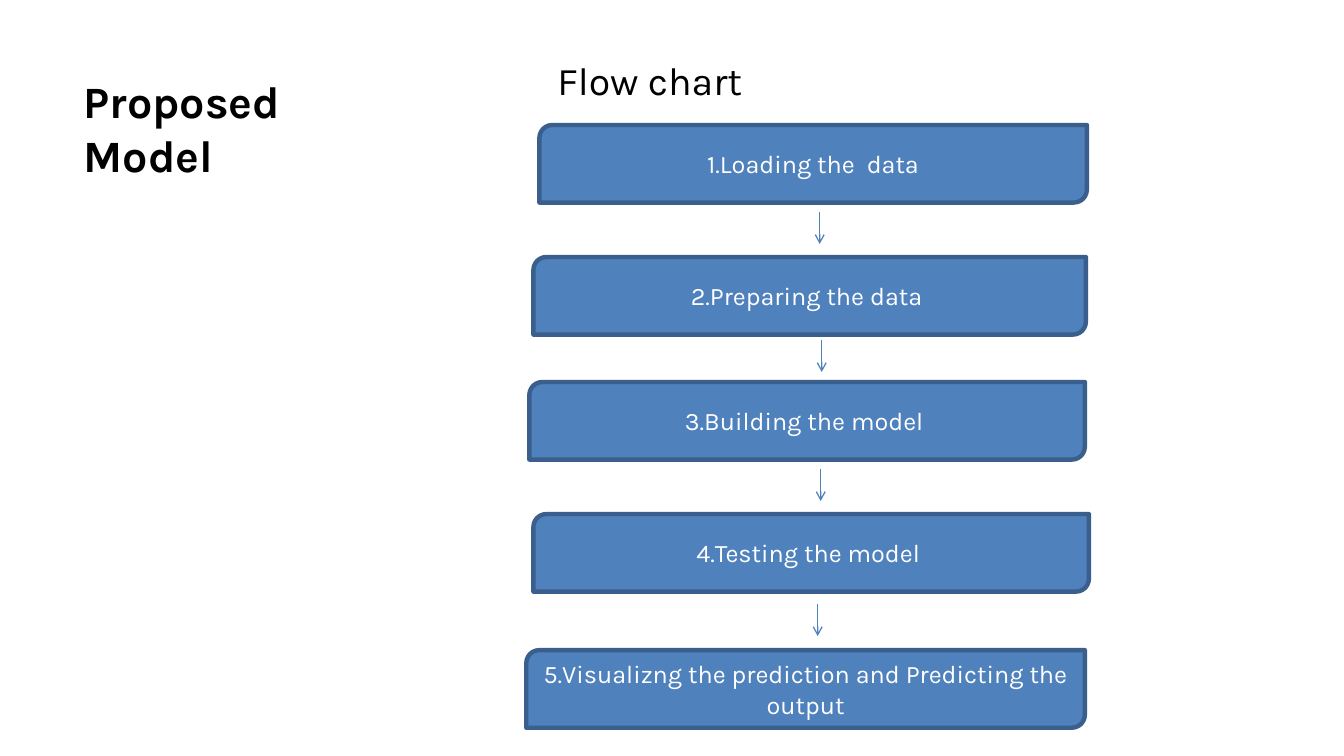
"""Build the slide that shows the proposed model as a flow chart."""
from lxml import etree
from pptx import Presentation
from pptx.dml.color import RGBColor
from pptx.enum.shapes import MSO_CONNECTOR, MSO_SHAPE
from pptx.enum.text import MSO_ANCHOR, MSO_AUTO_SIZE, PP_ALIGN
from pptx.oxml.ns import qn
from pptx.util import Inches, Pt

STEP_SHAPE = MSO_SHAPE.ROUND_2_DIAG_RECTANGLE
STRAIGHT = MSO_CONNECTOR.STRAIGHT
MIDDLE = MSO_ANCHOR.MIDDLE
CENTER = PP_ALIGN.CENTER
FIT_SHAPE = MSO_AUTO_SIZE.SHAPE_TO_FIT_TEXT

FONT = "Karla"
COLORS = {"fill": "4F81BD", "border": "3A5F8C", "light": "FFFFFF", "dark": "000000"}
STEP_HEIGHT = 0.77
ARROW_LENGTH = 0.32

STEPS = [
    (5.35, 1.24, 5.43, "1.Loading the  data"),
    (5.29, 2.55, 5.48, "2.Preparing the data "),
    (5.25, 3.79, 5.51, "3.Building the model "),
    (5.29, 5.1, 5.51, "4.Testing the model "),
    (5.22, 6.45, 5.54, "5.Visualizng the prediction and Predicting the output"),
]
ARROWS = [(8.13, 2.1), (8.15, 3.37), (8.14, 4.65), (8.11, 5.99)]


def color(name):
    """Return the named colour."""
    return RGBColor.from_string(COLORS[name])


def add_span(para, text, size, color_name, bold=False):
    """Add one styled run to a paragraph."""
    span = para.add_run()
    span.text = text
    span.font.name = FONT
    span.font.size = Pt(size)
    span.font.bold = bold
    span.font.color.rgb = color(color_name)


def add_step(page, left, top, width, text):
    """Add one box of the flow chart."""
    box = page.shapes.add_shape(
        STEP_SHAPE, Inches(left), Inches(top), Inches(width), Inches(STEP_HEIGHT)
    )
    box.shadow.inherit = False
    box.fill.solid()
    box.fill.fore_color.rgb = color("fill")
    box.line.color.rgb = color("border")
    box.line.width = Pt(3.15)
    box.text_frame.word_wrap = True
    box.text_frame.vertical_anchor = MIDDLE
    para = box.text_frame.paragraphs[0]
    para.alignment = CENTER
    add_span(para, text, 18, "light")


def add_arrow(page, x, top):
    """Add a downward arrow between two steps."""
    arrow = page.shapes.add_connector(
        STRAIGHT, Inches(x), Inches(top), Inches(x), Inches(top + ARROW_LENGTH)
    )
    arrow.line.color.rgb = color("fill")
    arrow.line.width = Pt(0.9)
    etree.SubElement(arrow.line._get_or_add_ln(), qn("a:tailEnd"), type="arrow")
    etree.SubElement(arrow._element.spPr, qn("a:effectLst"))


def add_heading(page, left, top, width, height, text, size, bold=False, wrap=True):
    """Add a heading in a text box."""
    box = page.shapes.add_textbox(
        Inches(left), Inches(top), Inches(width), Inches(height)
    )
    box.text_frame.word_wrap = wrap
    box.text_frame.auto_size = FIT_SHAPE
    add_span(box.text_frame.paragraphs[0], text, size, "dark", bold)


def main():
    """Build and save the deck."""
    deck = Presentation()
    deck.slide_width = Inches(13.33)
    deck.slide_height = Inches(7.5)
    page = deck.slides.add_slide(deck.slide_layouts[6])
    for step in STEPS:
        add_step(page, *step)
    for arrow in ARROWS:
        add_arrow(page, *arrow)
    add_heading(page, 0.73, 0.68, 2.9, 1.18, "Proposed Model", 32, bold=True)
    add_heading(page, 5.43, 0.51, 2.07, 0.57, "Flow chart", 28, wrap=False)
    deck.save("out.pptx")


if __name__ == "__main__":
    main()
